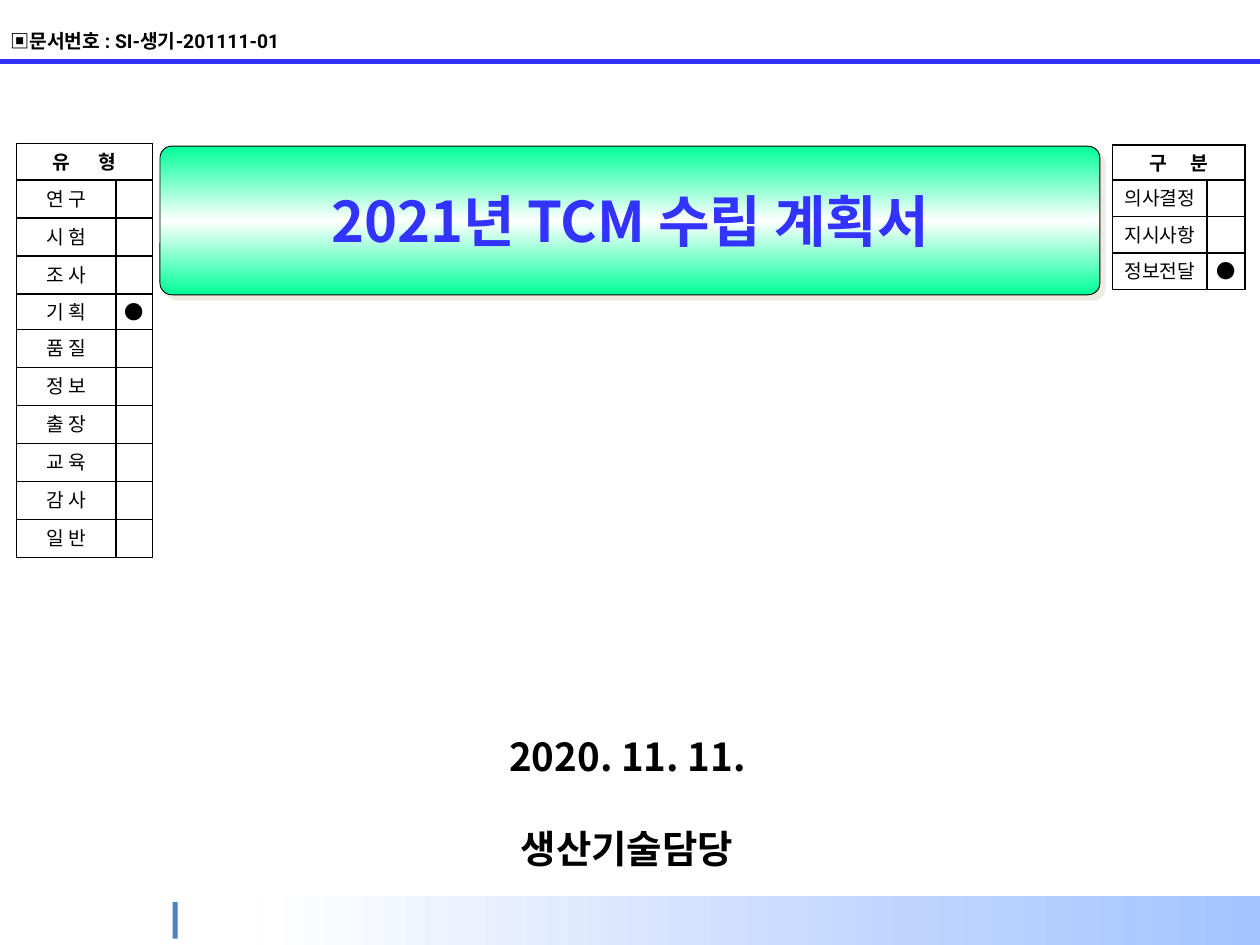
from lxml.etree import SubElement as Sub
from pptx import Presentation
from pptx.dml.color import RGBColor as RGB
from pptx.enum.shapes import MSO_CONNECTOR as CONN, MSO_SHAPE as SHAPE
from pptx.enum.text import MSO_ANCHOR as ANCHOR, PP_ALIGN as ALIGN
from pptx.oxml.ns import qn
from pptx.util import Inches, Pt

SANS, LATIN = "Noto Sans CJK KR", "Roboto"
HEX = {
    "ink": "000000", "blue": "3333FF", "mint": "00FF99", "white": "FFFFFF",
    "sky": "A4C4FF", "pale": "BFD4FF", "bar": "4F81BD", "shade": "EEECE1",
}
TYPES = ["연 구", "시 험", "조 사", "기 획", "품 질", "정 보", "출 장", "교 육", "감 사", "일 반"]
KINDS = ["의사결정", "지시사항", "정보전달"]


def color(name):
    return RGB.from_string(HEX[name])


def inches(*sizes):
    return [Inches(size) for size in sizes]


def add_run(para, text, size, bold=False, ink="ink", face=SANS):
    run = para.add_run()
    run.text = text
    look = {"size": Pt(size), "bold": bold, "name": face}
    for key, value in look.items():
        setattr(run.font, key, value)
    run.font.color.rgb = color(ink)
    Sub(run.font._element, qn("a:ea"), typeface=SANS)
    return run


def set_pad(item, across, down):
    """Set the inner margins of a cell or a text frame."""
    for side in ("left", "right"):
        setattr(item, f"margin_{side}", Inches(across))
    for side in ("top", "bottom"):
        setattr(item, f"margin_{side}", Inches(down))


def add_box(slide, kind, box):
    shape = slide.shapes.add_shape(kind, *inches(*box))
    shape.shadow.inherit = False
    shape.line.fill.background()
    return shape


def fade(shape, angle, stops):
    """Fill a shape with a gradient of (percent, colour name) stops."""
    shape.fill.gradient()
    shape.fill.gradient_angle = angle
    marks = shape._element.spPr.find(qn("a:gradFill")).find(qn("a:gsLst"))
    for mark in list(marks):
        marks.remove(mark)
    for place, name in stops:
        mark = Sub(marks, qn("a:gs"), pos=str(place * 1000))
        Sub(mark, qn("a:srgbClr"), val=HEX[name])


def add_grid(slide, left, top, cols, rows):
    """Add a table with no style, fill or banding."""
    box = inches(left, top, sum(cols), sum(rows))
    grid = slide.shapes.add_table(len(rows), len(cols), *box).table
    grid.first_row = grid.horz_banding = False
    for col, width in zip(grid.columns, cols):
        col.width = Inches(width)
    for row, height in zip(grid.rows, rows):
        row.height = Inches(height)
    for cell in grid.iter_cells():
        cell.fill.background()
    return grid


def add_edges(cell):
    props = cell._tc.get_or_add_tcPr()
    for spot, side in enumerate("LRTB"):
        line = Sub(props, qn(f"a:ln{side}"), w=str(Pt(1)))
        fill = Sub(line, qn("a:solidFill"))
        Sub(fill, qn("a:srgbClr"), val=HEX["ink"])
        props.remove(line)
        props.insert(spot, line)


def add_label(slide, box, text, face):
    """Add a borderless one-cell table with a centred label."""
    left, top, width, height = box
    cell = add_grid(slide, left, top, [width], [height]).cell(0, 0)
    para = cell.text_frame.paragraphs[0]
    para.alignment = ALIGN.CENTER
    add_run(para, text, 22, True, face=face)


def add_checks(slide, spot, cols, rows, head, gap, names, chosen, pad):
    """Add a check list with a spaced, merged heading and one marked row."""
    grid = add_grid(slide, *spot, cols, rows)
    for cell in grid.iter_cells():
        add_edges(cell)
        set_pad(cell, pad, pad)
        cell.vertical_anchor = ANCHOR.MIDDLE
    top = grid.cell(0, 0)
    top.merge(grid.cell(0, 1))
    para = top.text_frame.paragraphs[0]
    first, last = head
    wide = add_run(para, first + " ", 11, True)
    wide.font._element.set("spc", str(gap))
    add_run(para, last, 11, True)
    paras = [para]
    for row, name in enumerate(names, 1):
        para, mark = (grid.cell(row, col).text_frame.paragraphs[0] for col in (0, 1))
        add_run(para, name, 11)
        paras.append(para)
        if name == chosen:
            add_run(mark, "●", 11)
            paras.append(mark)
        else:
            end = Sub(mark._p, qn("a:endParaRPr"), sz="1100")
            for tag in ("a:latin", "a:ea"):
                Sub(end, qn(tag), typeface=SANS)
    for para in paras:
        para.alignment = ALIGN.CENTER
        para.line_spacing = 0.9


def add_footer(slide):
    band = add_box(slide, SHAPE.RECTANGLE, (2.09, 7.11, 7.91, 0.39))
    fade(band, 180, [(0, "sky"), (35, "pale"), (100, "white")])
    bar = add_box(slide, SHAPE.RECTANGLE, (1.37, 7.16, 0.04, 0.29))
    bar.fill.solid()
    bar.fill.fore_color.rgb = color("bar")


def add_title(slide, text):
    box = (1.27, 1.16, 7.46, 1.18)
    panel = add_box(slide, SHAPE.ROUNDED_RECTANGLE, box)
    panel.adjustments[0] = 0.08
    fade(panel, 90, [(0, "mint"), (50, "white"), (100, "mint")])
    panel.line.color.rgb = color("ink")
    panel.line.width = Pt(0.5)
    effects = panel._element.spPr.find(qn("a:effectLst"))
    shade = Sub(effects, qn("a:outerShdw"), dist=str(Pt(4.2)), dir="2700000")
    Sub(shade, qn("a:srgbClr"), val=HEX["shade"])

    title = slide.shapes.title
    title.left, title.top, title.width, title.height = inches(*box)
    frame = title.text_frame
    frame.vertical_anchor = ANCHOR.MIDDLE
    set_pad(frame, 0.02, 0.05)
    para = frame.paragraphs[0]
    para.alignment = ALIGN.CENTER
    add_run(para, text, 32, True, "blue")
    slide.shapes._spTree.append(title._element)


def add_header(slide, text):
    note = slide.shapes.add_textbox(*inches(0.04, 0.19, 2.69, 0.26))
    frame = note.text_frame
    frame.word_wrap = True
    set_pad(frame, 0.04, 0.04)
    add_run(frame.paragraphs[0], text, 11, True, face=LATIN)
    rule = slide.shapes.add_connector(CONN.STRAIGHT, *inches(0, 0.49, 10, 0.49))
    rule.line.color.rgb = color("blue")
    rule.line.width = Pt(3)
    Sub(rule._element.spPr, qn("a:effectLst"))


def main():
    deck = Presentation()
    deck.slide_width, deck.slide_height = inches(10, 7.5)
    slide = deck.slides.add_slide(deck.slide_layouts[5])
    add_footer(slide)
    add_label(slide, (3.47, 5.72, 3.02, 0.53), "2020. 11. 11.", SANS)
    add_title(slide, "2021년 TCM 수립 계획서")
    rows = [0.29, 0.28, 0.28] + [0.26] * 5 + [0.24, 0.24, 0.26]
    add_checks(slide, (0.13, 1.14), [0.79, 0.29], rows, "유형", 700, TYPES, "기 획", 0.04)
    rows = [0.28] + [0.29] * 3
    add_checks(slide, (8.83, 1.15), [0.75, 0.3], rows, "구분", 550, KINDS, "정보전달", 0.02)
    add_header(slide, "▣문서번호 : SI-생기-201111-01")
    add_label(slide, (2.97, 6.45, 4.01, 0.53), "생산기술담당", LATIN)
    deck.save("out.pptx")


if __name__ == "__main__":
    main()
